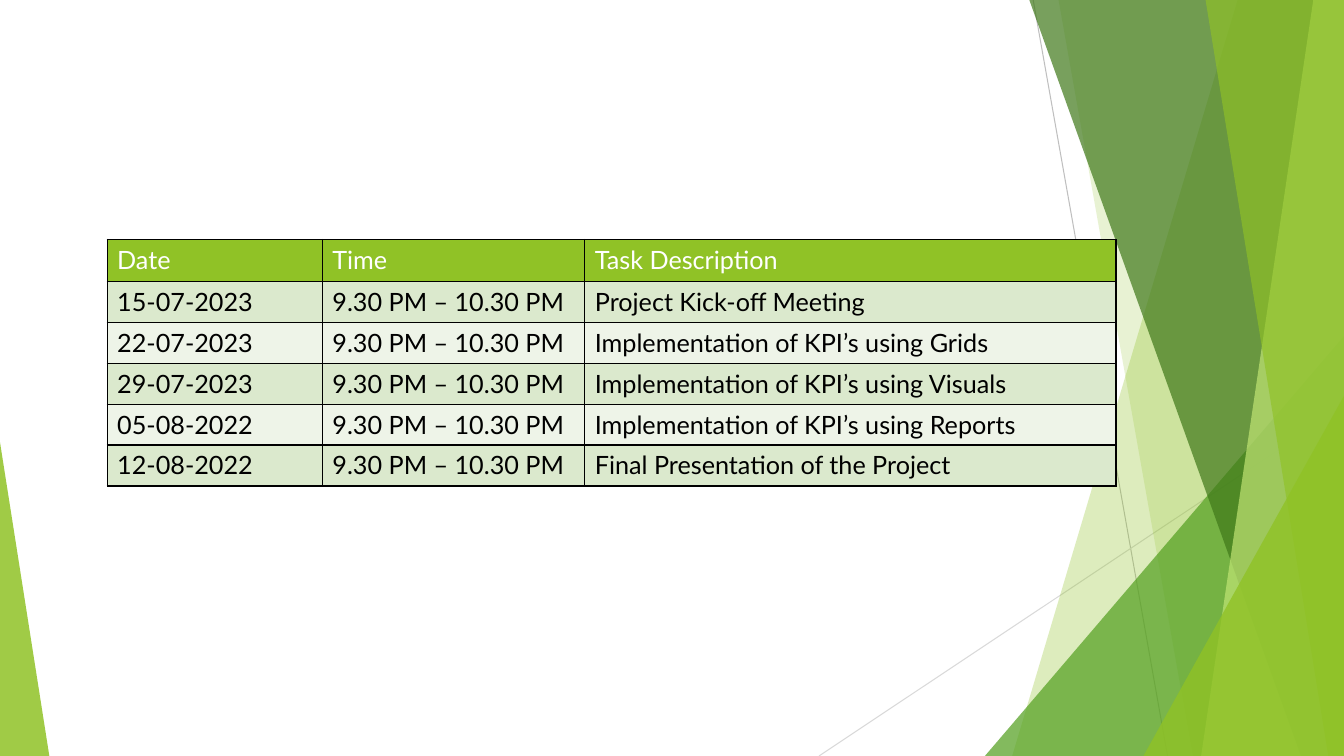
from dataclasses import dataclass

from lxml import etree
from pptx import Presentation
from pptx.dml.color import RGBColor
from pptx.enum.shapes import MSO_CONNECTOR as Connector, MSO_SHAPE as Preset
from pptx.oxml.ns import qn
from pptx.util import Pt

PX = 9525
WIDTH, HEIGHT = 1280, 720
BLEED = -1
FONT = "Lato"
LIME, LEAF, FOREST, PALE = "90C226", "54A021", "3F7819", "C0E474"
BLACK, WHITE = "000000", "FFFFFF"
BAND_FILLS = ("DBE9CD", "EEF4E8")


@dataclass(frozen=True)
class Ray:
    start: tuple[int, int]
    end: tuple[int, int]
    color: str


@dataclass(frozen=True)
class Panel:
    top_left: int
    bottom_left: int
    color: str
    opacity: int


@dataclass(frozen=True)
class Wedge:
    left: int
    top: int
    width: int
    apex: int
    color: str
    opacity: int


RAYS = (
    Ray((984, 0), (1112, HEIGHT), "BFBFBF"),
    Ray((WIDTH, 387), (780, HEIGHT), "D9D9D9"),
)
FACETS = (
    Panel(1179, 964, LIME, 30),
    Panel(1008, 1136, LIME, 20),
    Wedge(938, 320, 342, 1, LEAF, 72),
    Panel(980, 1239, FOREST, 70),
    Panel(1251, 1144, PALE, 70),
    Panel(1148, 1265, LIME, 65),
    Wedge(1089, 377, 191, 1, LIME, 80),
    Wedge(0, 421, 47, 0, LIME, 85),
)

TABLE_LEFT, TABLE_TOP = 102, 228
COLUMN_WIDTHS = (205, 250, 506)
HEADER_HEIGHT, ROW_HEIGHT = 40, 39
HEADER = ("Date", "Time", "Task Description")
SESSION_TIME = "9.30 PM – 10.30 PM"
TASKS = (
    ("15-07-2023", "Project Kick-off Meeting"),
    ("22-07-2023", "Implementation of KPI’s using Grids"),
    ("29-07-2023", "Implementation of KPI’s using Visuals"),
    ("05-08-2022", "Implementation of KPI’s using Reports"),
    ("12-08-2022", "Final Presentation of the Project"),
)


def rgb(color: str) -> RGBColor:
    return RGBColor.from_string(color)


def draw_ray(slide, ray: Ray) -> None:
    ends = [value * PX for value in ray.start + ray.end]
    line = slide.shapes.add_connector(Connector.STRAIGHT, *ends)
    line.line.color.rgb = rgb(ray.color)
    line.line.width = Pt(0.75)
    properties = line._element.find(qn("p:spPr"))
    etree.SubElement(properties, qn("a:effectLst"))


def add_panel(slide, panel: Panel):
    builder = slide.shapes.build_freeform(panel.top_left, BLEED, scale=PX)
    corners = [(WIDTH, BLEED), (WIDTH, HEIGHT), (panel.bottom_left, HEIGHT)]
    builder.add_line_segments(corners, close=True)
    return builder.convert_to_shape()


def add_wedge(slide, wedge: Wedge):
    box = (wedge.left, wedge.top, wedge.width, HEIGHT - wedge.top)
    shape = slide.shapes.add_shape(
        Preset.ISOSCELES_TRIANGLE, *(value * PX for value in box)
    )
    shape.adjustments[0] = wedge.apex
    return shape


def draw_facet(slide, facet: Panel | Wedge) -> None:
    add = add_panel if isinstance(facet, Panel) else add_wedge
    shape = add(slide, facet)
    shape.shadow.inherit = False
    shape.line.fill.background()
    shape.fill.solid()
    shape.fill.fore_color.rgb = rgb(facet.color)
    color = shape._element.find(".//" + qn("a:srgbClr"))
    etree.SubElement(color, qn("a:alpha"), val=str(facet.opacity * 1000))


def add_borders(cell) -> None:
    properties = cell._tc.get_or_add_tcPr()
    for side in ("lnL", "lnR", "lnT", "lnB"):
        border = etree.SubElement(properties, qn(f"a:{side}"), w=str(Pt(1)))
        fill = etree.SubElement(border, qn("a:solidFill"))
        etree.SubElement(fill, qn("a:srgbClr"), val=BLACK)


def fill_cell(cell, text: str, fill: str, color: str) -> None:
    add_borders(cell)
    cell.fill.solid()
    cell.fill.fore_color.rgb = rgb(fill)
    cell.text = text
    font = cell.text_frame.paragraphs[0].font
    font.name = FONT
    font.size = Pt(18)
    font.color.rgb = rgb(color)


def draw_schedule(slide) -> None:
    rows = [HEADER] + [(date, SESSION_TIME, task) for date, task in TASKS]
    heights = [HEADER_HEIGHT] + [ROW_HEIGHT] * len(TASKS)
    box = (TABLE_LEFT, TABLE_TOP, sum(COLUMN_WIDTHS), sum(heights))
    table = slide.shapes.add_table(
        len(rows), len(HEADER), *(value * PX for value in box)
    ).table
    for column, width in zip(table.columns, COLUMN_WIDTHS):
        column.width = width * PX
    for index, (row, height, texts) in enumerate(zip(table.rows, heights, rows)):
        row.height = height * PX
        fill = BAND_FILLS[(index - 1) % 2] if index else LIME
        color = BLACK if index else WHITE
        for cell, text in zip(row.cells, texts):
            fill_cell(cell, text, fill, color)


def main() -> None:
    """Build the project schedule slide."""
    presentation = Presentation()
    presentation.slide_width = WIDTH * PX
    presentation.slide_height = HEIGHT * PX
    slide = presentation.slides.add_slide(presentation.slide_layouts[6])
    for ray in RAYS:
        draw_ray(slide, ray)
    for facet in FACETS:
        draw_facet(slide, facet)
    draw_schedule(slide)
    presentation.save("out.pptx")


if __name__ == "__main__":
    main()
